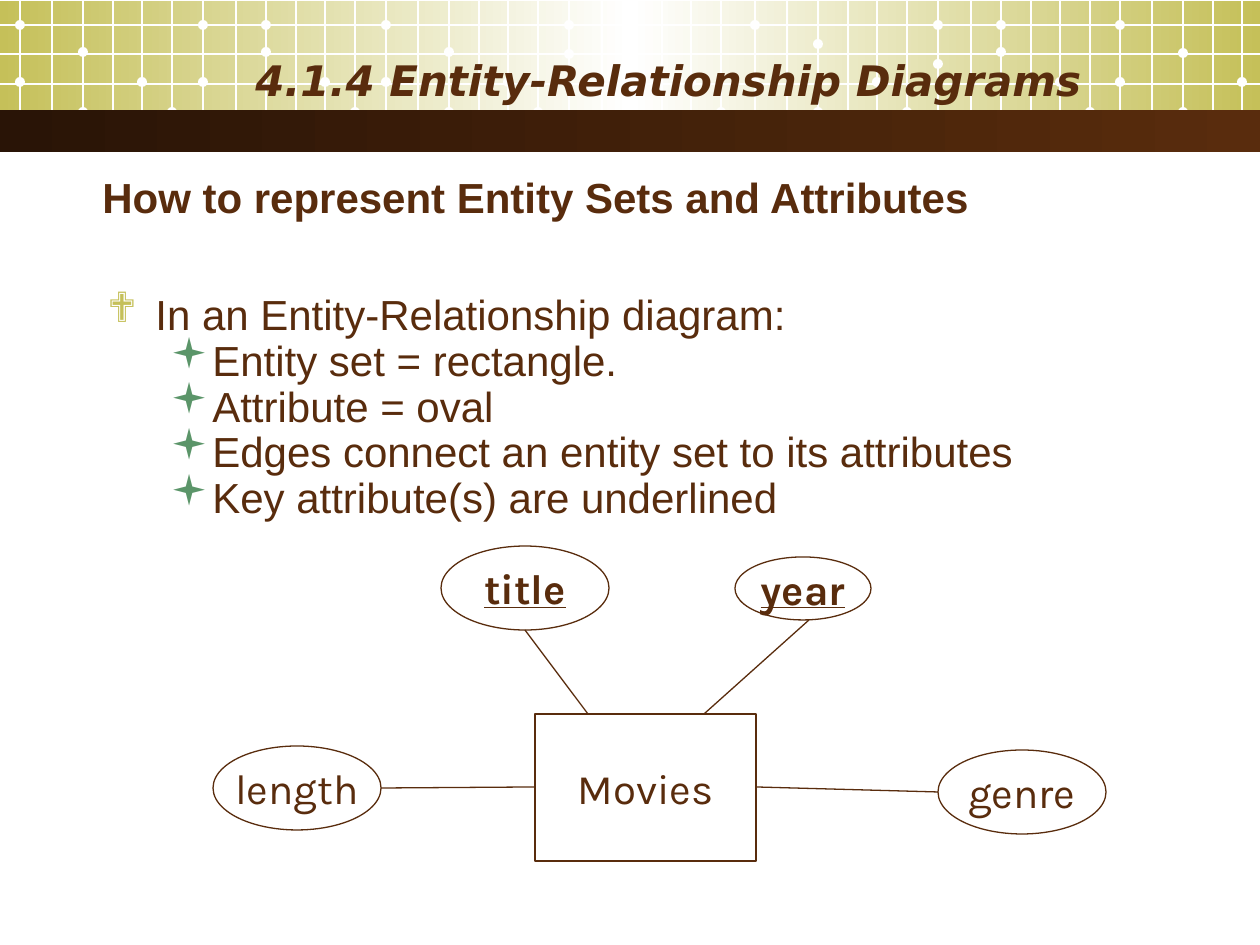
from lxml import etree
from pptx import Presentation
from pptx.dml.color import RGBColor
from pptx.enum.shapes import MSO_CONNECTOR, MSO_SHAPE
from pptx.enum.text import MSO_ANCHOR, PP_ALIGN
from pptx.oxml.ns import qn
from pptx.util import Emu, Pt

RECT, OVAL = MSO_SHAPE.RECTANGLE, MSO_SHAPE.OVAL
STRAIGHT = MSO_CONNECTOR.STRAIGHT
LEFT, CENTER, RIGHT = PP_ALIGN.LEFT, PP_ALIGN.CENTER, PP_ALIGN.RIGHT
TOP, MIDDLE = MSO_ANCHOR.TOP, MSO_ANCHOR.MIDDLE

PX_PER_INCH = 126
WIDTH, HEIGHT = 1260, 945
COLORS = {"brown": "592C0D", "dark": "291406", "olive": "C5C059",
          "green": "5B9569", "white": "FFFFFF"}

TITLE = "4.1.4 Entity-Relationship Diagrams"
HEADING = "How to represent Entity Sets and Attributes"
BULLETS = [
    (0, "In an Entity-Relationship diagram:"),
    (1, "Entity set = rectangle."),
    (1, "Attribute = oval"),
    (1, "Edges connect an entity set to its attributes"),
    (1, "Key attribute(s) are underlined"),
]
# level: bullet sign, colour, text margin, hanging indent
BULLET_STYLES = [("❖", "olive", 48, 48), ("▪", "green", 102, 39)]

# shape, text, is key, box
NODES = [
    (RECT, "Movies", False, (535, 714, 221, 147)),
    (OVAL, "title", True, (441, 546, 168, 84)),
    (OVAL, "year", True, (735, 557, 136, 63)),
    (OVAL, "genre", False, (938, 750, 168, 84)),
    (OVAL, "length", False, (213, 746, 168, 84)),
]
EDGES = [(525, 630, 588, 714), (809, 620, 704, 714),
         (381, 788, 535, 787), (756, 787, 938, 792)]

# The header grid repeats one tile; two of its dots change height per tile
GRID_BOTTOM = 139
GRID_ROWS = [25, 54, 84, 112]
GRID_COLUMNS = [0, 32, 63, 93, 122, 152, 183, 216, 246, 276, 305, 335]
TILES = [(20, 52, 82), (386, 52, 54), (755, 44, 64), (1120, 53, 54)]
DOT = 10


def px(n):
    return Emu(round(n * 914400 / PX_PER_INCH))


def rgb(name):
    return RGBColor.from_string(COLORS[name])


def add_shape(kind, box, fill=None, line=None):
    """fill is a colour name or a list of (position, colour name) stops."""
    sp = s.shapes.add_shape(kind, *map(px, box))
    sp.shadow.inherit = False
    if fill is None:
        sp.fill.background()
    elif isinstance(fill, str):
        sp.fill.solid()
        sp.fill.fore_color.rgb = rgb(fill)
    else:
        sp.fill.gradient()
        sp.fill.gradient_angle = 0
        stops = sp.fill._fill._gradFill.find(qn("a:gsLst"))
        for old in list(stops):
            stops.remove(old)
        for pos, name in fill:
            gs = etree.SubElement(stops, qn("a:gs"), pos=str(pos * 1000))
            etree.SubElement(gs, qn("a:srgbClr"), val=COLORS[name])
    if line:
        sp.line.color.rgb = rgb(line)
        sp.line.width = Pt(0.75)
    else:
        sp.line.fill.background()
    return sp


def add_line(x1, y1, x2, y2, color):
    c = s.shapes.add_connector(STRAIGHT, *map(px, (x1, y1, x2, y2)))
    c.line.color.rgb = rgb(color)
    c.line.width = Pt(0.75)
    etree.SubElement(c._element.spPr, qn("a:effectLst"))


def add_text(p, text, font="Arial", align=LEFT, bold=False, italic=False,
             underline=False):
    p.alignment = align
    r = p.add_run()
    r.text = text
    f = r.font
    f.name, f.size, f.color.rgb = font, Pt(24), rgb("brown")
    f.bold, f.italic, f.underline = bold, italic, underline


def add_box(box, anchor=TOP):
    tf = s.shapes.add_textbox(*map(px, box)).text_frame
    tf.word_wrap = True
    tf.vertical_anchor = anchor
    return tf


def set_bullet(p, sign, color, margin, hanging):
    pPr = p._p.get_or_add_pPr()
    pPr.set("marL", str(px(margin)))
    pPr.set("indent", str(-px(hanging)))
    clr = etree.SubElement(pPr, qn("a:buClr"))
    etree.SubElement(clr, qn("a:srgbClr"), val=COLORS[color])
    etree.SubElement(pPr, qn("a:buFont"), typeface="Wingdings")
    etree.SubElement(pPr, qn("a:buChar"), char=sign)


def draw_header():
    add_shape(RECT, (0, 1, WIDTH, 129),
              [(0, "olive"), (50, "white"), (100, "olive")])
    for left, y_third, y_seventh in TILES:
        dots = {0: (25, 82), 2: (y_third, 112), 4: (82,), 5: (112,),
                6: (25, y_seventh), 8: (25, 52), 10: (82,), 11: (112,)}
        for i, offset in enumerate(GRID_COLUMNS):
            x = left + offset
            if x > WIDTH:
                break
            add_line(x, 0, x, GRID_BOTTOM, "white")
            for y in dots.get(i, ()):
                add_shape(OVAL, (x - DOT / 2, y - DOT / 2, DOT, DOT), "white")
    for y in GRID_ROWS:
        add_line(0, y, WIDTH, y, "white")
    add_shape(RECT, (0, 110, WIDTH, 42), [(0, "dark"), (100, "brown")])
    tf = add_box((64, 53, 1030, 53), MIDDLE)
    add_text(tf.paragraphs[0], TITLE, font="DejaVu Sans", align=RIGHT,
             bold=True, italic=True)


def draw_body():
    add_text(add_box((90, 165, 958, 63)).paragraphs[0], HEADING, bold=True)
    tf = add_box((95, 296, 1071, 246))
    for i, (level, text) in enumerate(BULLETS):
        p = tf.add_paragraph() if i else tf.paragraphs[0]
        p.level = level
        p.line_spacing = 0.7
        p.space_before = Pt(6 if i else 0)
        set_bullet(p, *BULLET_STYLES[level])
        add_text(p, text)


def draw_diagram():
    for kind, text, is_key, box in NODES:
        tf = add_shape(kind, box, line="brown").text_frame
        tf.word_wrap = False
        tf.vertical_anchor = MIDDLE
        add_text(tf.paragraphs[0], text, font="Karla", align=CENTER,
                 bold=is_key, underline=is_key)
    for edge in EDGES:
        add_line(*edge, "brown")


prs = Presentation()
prs.slide_width, prs.slide_height = px(WIDTH), px(HEIGHT)
s = prs.slides.add_slide(prs.slide_layouts[6])
draw_header()
draw_body()
draw_diagram()
prs.save("out.pptx")
